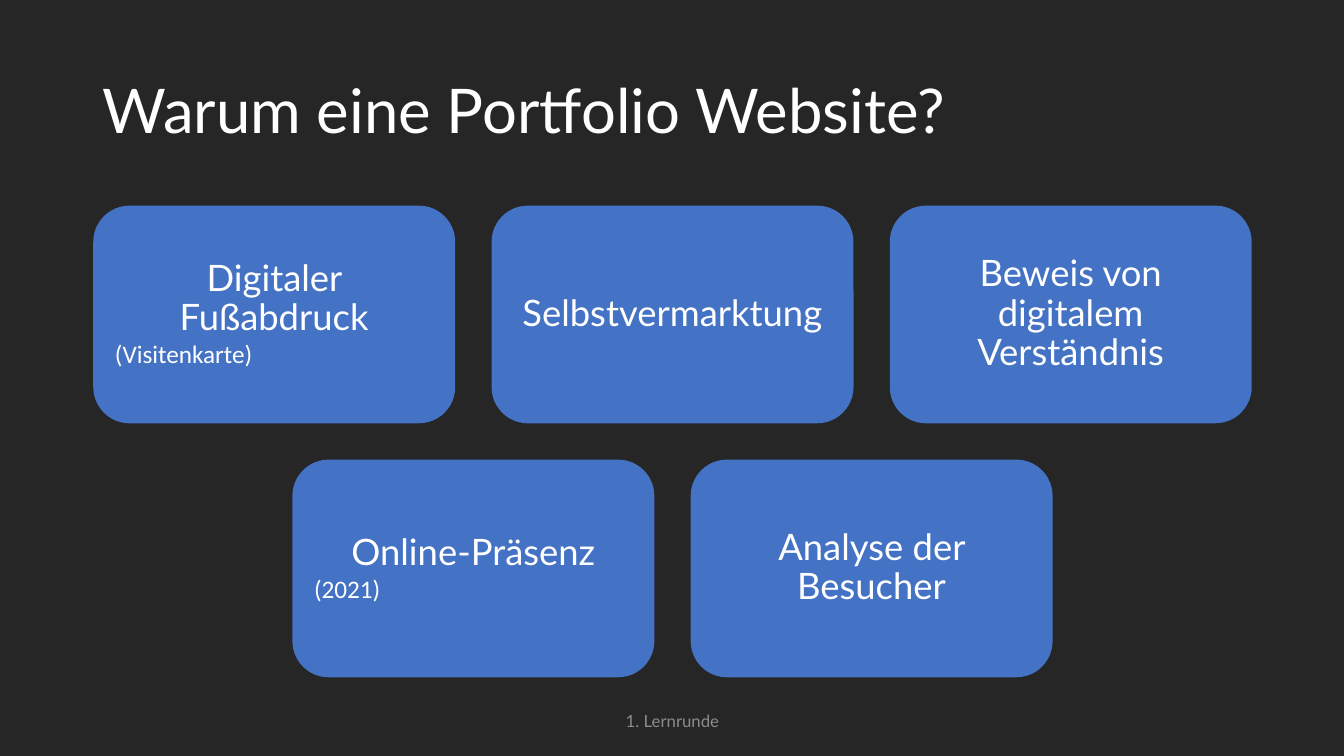
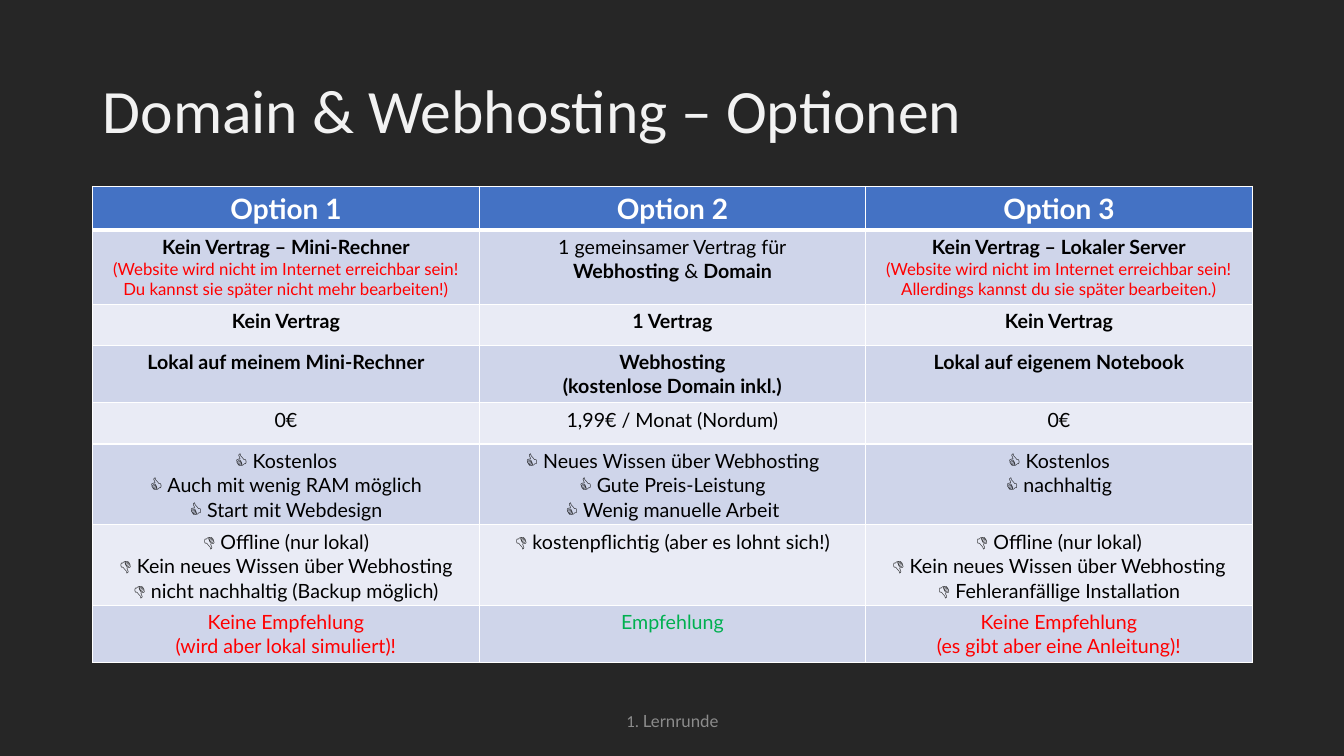
from lxml import etree
from pptx import Presentation
from pptx.dml.color import RGBColor
from pptx.enum.shapes import MSO_SHAPE as SHAPE
from pptx.enum.text import MSO_ANCHOR as ANCHOR, PP_ALIGN as ALIGN
from pptx.oxml.ns import qn
from pptx.util import Inches, Pt

# Shared look
COLORS = {
    "back": "262626", "white": "FFFFFF", "light": "F2F2F2", "blue": "4472C4",
    "footer": "8C8C8C", "odd": "CFD5EA", "even": "E9EBF5",
    "black": "000000", "red": "FF0000", "green": "00B050",
}
# style: font, size, bold, colour
STYLES = {
    "title": ("Lato", 44, False, "white"),
    "title_plain": ("Calibri", 44, False, "light"),
    "box": ("Lato", 26, False, "white"),
    "footer": ("Lato", 12, False, "footer"),
    "footer_plain": ("Calibri", 12, False, "footer"),
    "head": ("Lato", 20, True, "white"),
    "text": ("Lato", 14, False, "black"),
    "bold": ("Lato", 14, True, "black"),
    "thumb": ("Calibri", 14, False, "black"),
    "warning": ("Lato", 12, False, "red"),
    "bad": ("Lato", 14, False, "red"),
    "good": ("Lato", 14, False, "green"),
}
LEFT, WIDTH = 0.92, 11.5

# Content of slide 1
REASON_ROWS = [
    ["Digitaler Fußabdruck\n(Visitenkarte)", "Selbstvermarktung",
     "Beweis von digitalem Verständnis"],
    ["Online-Präsenz\n(2021)", "Analyse der Besucher"],
]


# Content of slide 2: a cell is a list of paragraphs, a paragraph a list of runs
def lines(style, *texts):
    return [[(style, text)] for text in texts]


def thumbs(sign, *texts):
    return [[("thumb", sign + " "), ("text", text)] for text in texts]


UP, DOWN = "👍", "👎"
OPTIONS = [
    [lines("head", f"Option {n}") for n in (1, 2, 3)],
    [
        lines("bold", "Kein Vertrag – Mini-Rechner") + lines(
            "warning", "(Website wird nicht im Internet erreichbar sein! "
            "Du kannst sie später nicht mehr bearbeiten!)"),
        lines("text", "1 gemeinsamer Vertrag für") + [
            [("bold", "Webhosting"), ("text", " & "), ("bold", "Domain")]],
        lines("bold", "Kein Vertrag – Lokaler Server") + lines(
            "warning", "(Website wird nicht im Internet erreichbar sein! "
            "Allerdings kannst du sie später bearbeiten.)"),
    ],
    [lines("bold", text) for text in ("Kein Vertrag", "1 Vertrag", "Kein Vertrag")],
    [
        lines("bold", "Lokal auf meinem Mini-Rechner"),
        lines("bold", "Webhosting", "(kostenlose Domain inkl.)"),
        lines("bold", "Lokal auf eigenem Notebook"),
    ],
    [lines("text", text) for text in ("0€", "1,99€ / Monat (Nordum)", "0€")],
    [
        thumbs(UP, "Kostenlos", "Auch mit wenig RAM möglich", "Start mit Webdesign"),
        thumbs(UP, "Neues Wissen über Webhosting", "Gute Preis-Leistung",
               "Wenig manuelle Arbeit"),
        thumbs(UP, "Kostenlos", "nachhaltig"),
    ],
    [
        thumbs(DOWN, "Offline (nur lokal)", "Kein neues Wissen über Webhosting",
               "nicht nachhaltig (Backup möglich)"),
        thumbs(DOWN, "kostenpflichtig (aber es lohnt sich!)"),
        thumbs(DOWN, "Offline (nur lokal)", "Kein neues Wissen über Webhosting",
               "Fehleranfällige Installation"),
    ],
    [
        lines("bad", "Keine Empfehlung", "(wird aber lokal simuliert)!"),
        lines("good", "Empfehlung"),
        lines("bad", "Keine Empfehlung", "(es gibt aber eine Anleitung)!"),
    ],
]


# Helpers
def rgb(name):
    return RGBColor.from_string(COLORS[name])


def style_run(r, style):
    font, size, bold, color = STYLES[style]
    r.font.name, r.font.size, r.font.bold = font, Pt(size), bold
    r.font.color.rgb = rgb(color)


def write(tf, paragraphs):
    for i, runs in enumerate(paragraphs):
        p = tf.paragraphs[0] if i == 0 else tf.add_paragraph()
        p.alignment = ALIGN.CENTER
        for style, text in runs:
            r = p.add_run()
            r.text = text
            style_run(r, style)


def write_plain(tf, text, style, align):
    tf.text = text
    tf.vertical_anchor = ANCHOR.MIDDLE
    p = tf.paragraphs[0]
    p.alignment, p.line_spacing = align, 0.9
    for r in p.runs:
        style_run(r, style)


def set_borders(cell, top, bottom):
    tc_pr = cell._tc.get_or_add_tcPr()
    for i, (side, width) in enumerate(
            (("L", 1), ("R", 1), ("T", top), ("B", bottom))):
        ln = etree.Element(qn(f"a:ln{side}"), w=str(Pt(width)))
        fill = etree.SubElement(ln, qn("a:solidFill"))
        etree.SubElement(fill, qn("a:srgbClr"), val=COLORS["white"])
        tc_pr.insert(i, ln)


def add_slide(prs, title, title_style, number_style):
    s = prs.slides.add_slide(prs.slide_layouts[5])
    write_plain(s.shapes.title.text_frame, title, title_style, ALIGN.LEFT)
    footer = s.shapes.add_textbox(Inches(4.42), Inches(6.95), Inches(4.5), Inches(0.4))
    tf = footer.text_frame
    tf.word_wrap, tf.vertical_anchor = True, ANCHOR.MIDDLE
    write(tf, [[(number_style, "1. "), ("footer", "Lernrunde")]])
    return s


def add_reasons(s):
    box_w, box_h, gap, top = 3.59, 2.16, 0.36, 2.04
    for row, texts in enumerate(REASON_ROWS):
        row_w = len(texts) * (box_w + gap) - gap
        x = LEFT + (WIDTH - row_w) / 2
        y = top + row * (box_h + gap)
        for col, text in enumerate(texts):
            sp = s.shapes.add_shape(
                SHAPE.ROUNDED_RECTANGLE, Inches(x + col * (box_w + gap)), Inches(y),
                Inches(box_w), Inches(box_h))
            sp.shadow.inherit = False
            sp.fill.solid()
            sp.fill.fore_color.rgb = rgb("blue")
            sp.line.fill.background()
            tf = sp.text_frame
            tf.word_wrap = True
            tf.margin_left = tf.margin_right = Inches(0.11)
            tf.margin_top = tf.margin_bottom = Inches(0.11)
            write_plain(tf, text, "box", ALIGN.CENTER)


def add_options(s):
    row_h = 0.41
    rows, cols = len(OPTIONS), len(OPTIONS[0])
    table = s.shapes.add_table(
        rows, cols, Inches(LEFT), Inches(1.85), Inches(WIDTH), Inches(rows * row_h)).table
    for i, cells in enumerate(OPTIONS):
        fill = "blue" if i == 0 else "odd" if i % 2 else "even"
        for j, paragraphs in enumerate(cells):
            cell = table.cell(i, j)
            cell.fill.solid()
            cell.fill.fore_color.rgb = rgb(fill)
            set_borders(cell, 3 if i == 1 else 1, 3 if i == 0 else 1)
            write(cell.text_frame, paragraphs)


def main():
    prs = Presentation()
    prs.slide_width, prs.slide_height = Inches(13.33), Inches(7.5)

    # Background and title position for all slides
    back = prs.slide_master.background.fill
    back.solid()
    back.fore_color.rgb = rgb("back")
    title = prs.slide_layouts[5].placeholders[0]
    title.left, title.top = Inches(LEFT), Inches(0.4)
    title.width, title.height = Inches(WIDTH), Inches(1.45)

    add_reasons(add_slide(prs, "Warum eine Portfolio Website?", "title", "footer"))
    add_options(add_slide(
        prs, "Domain & Webhosting – Optionen", "title_plain", "footer_plain"))
    prs.save("out.pptx")


if __name__ == "__main__":
    main()
